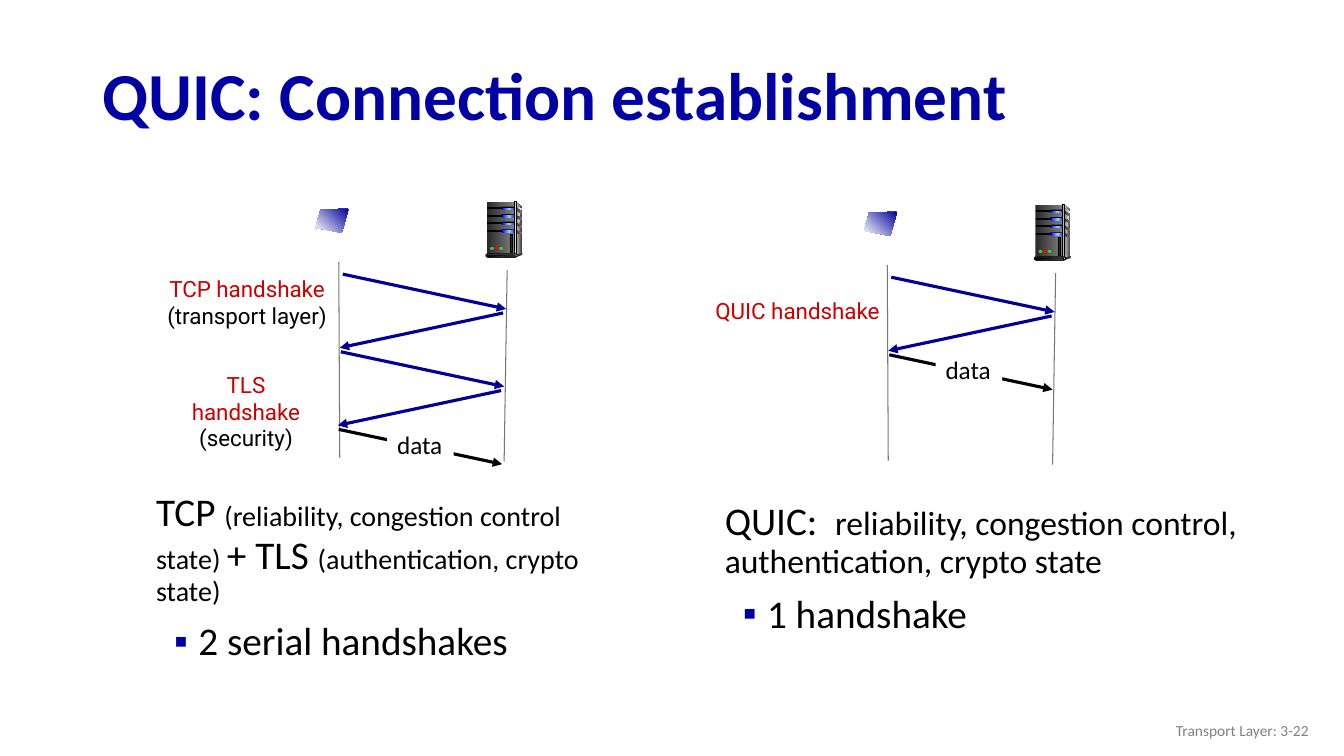
from lxml import etree
from pptx import Presentation
from pptx import util as u
from pptx.dml.color import RGBColor
from pptx.enum import shapes, text
from pptx.oxml.ns import qn

NAVY, TITLE_BLUE, RED, BLACK = "000099", "0000A3", "CC0000", "000000"
SHADE = ("292929", "808080")
GLOW = ("0000FF", "99CCFF", "0000FF")
RECT = shapes.MSO_SHAPE.RECTANGLE
PILL = shapes.MSO_SHAPE.ROUNDED_RECTANGLE
OVAL = shapes.MSO_SHAPE.OVAL


def color(value):
    return RGBColor.from_string(value)


def add_xml(parent, tag, **attributes):
    return etree.SubElement(parent, qn(tag), attributes)


def paint(shape, fill, line=None, angle=0):
    """Fill with one colour, or with a tuple of evenly spaced gradient colours."""
    shape.shadow.inherit = False
    if isinstance(fill, tuple):
        shape.fill.gradient()
        shape.fill.gradient_angle = angle
        stops = shape._element.spPr.find(qn("a:gradFill")).find(qn("a:gsLst"))
        for stop in list(stops):
            stops.remove(stop)
        for index, value in enumerate(fill):
            position = 100000 * index // (len(fill) - 1)
            stop = add_xml(stops, "a:gs", pos=str(position))
            add_xml(stop, "a:srgbClr", val=value)
    else:
        shape.fill.solid()
        shape.fill.fore_color.rgb = color(fill)
    if line:
        shape.line.color.rgb = color(line)
        shape.line.width = u.Pt(0.75)
    else:
        shape.line.fill.background()


def add_preset(parent, kind, left, top, width, height, fill, line=None):
    shape = parent.shapes.add_shape(
        kind, u.Inches(left), u.Inches(top), u.Inches(width), u.Inches(height))
    if kind == PILL:
        shape.adjustments[0] = 0.5
    paint(shape, fill, line)
    return shape


def add_outline(parent, left, top, points, fill, angle=0):
    corners = [(u.Inches(left + x), u.Inches(top + y)) for x, y in points]
    builder = parent.shapes.build_freeform(*corners[0], scale=1.0)
    builder.add_line_segments(corners[1:], close=True)
    paint(builder.convert_to_shape(), fill, angle=angle)


def add_line(slide, start, end, value, width=2.25, arrow=True):
    line = slide.shapes.add_connector(
        shapes.MSO_CONNECTOR.STRAIGHT, *(u.Inches(n) for n in (*start, *end)))
    line.line.color.rgb = color(value)
    line.line.width = u.Pt(width)
    if arrow:
        add_xml(line.line._get_or_add_ln(), "a:tailEnd", type="triangle")
    add_xml(line._element.spPr, "a:effectLst")


def add_paragraph(frame, runs, font="Calibri", align=None, spacing=None,
                  before=0, margin=0, indent=0, bullet=None):
    """Append a paragraph of (text, size, colour) runs."""
    first = not frame.paragraphs[0].runs
    paragraph = frame.paragraphs[0] if first else frame.add_paragraph()
    properties = paragraph._p.get_or_add_pPr()
    properties.set("marL", str(u.Inches(margin)))
    properties.set("indent", str(u.Inches(indent)))
    if bullet:
        add_xml(add_xml(properties, "a:buClr"), "a:srgbClr", val=TITLE_BLUE)
        add_xml(properties, "a:buFont", typeface="Arial")
        add_xml(properties, "a:buChar", char=bullet)
    paragraph.alignment = align
    paragraph.line_spacing = spacing
    if not first:
        paragraph.space_before = u.Pt(before)
    for words, size, value in runs:
        for index, part in enumerate(words.split("\n")):
            if index:
                paragraph.add_line_break()
            run = paragraph.add_run()
            run.text = part
            run.font.name = font
            run.font.size = u.Pt(size)
            run.font.color.rgb = color(value)
    return paragraph


def add_text_box(slide, left, top, width, height, wrap=True,
                 anchor=text.MSO_ANCHOR.TOP):
    box = slide.shapes.add_textbox(
        u.Inches(left), u.Inches(top), u.Inches(width), u.Inches(height))
    box.text_frame.word_wrap = wrap
    box.text_frame.vertical_anchor = anchor
    return box.text_frame


def add_server(slide, left, top):
    group = slide.shapes.add_group_shape()

    def preset(kind, x, y, *style):
        add_preset(group, kind, left + x, top + y, *style)

    def outline(points, fill):
        add_outline(group, left, top, points, fill)

    outline([(.3, 0), (.36, .06), (.36, .51), (.29, .53)], ("DDDDDD", "333333"))
    preset(RECT, .01, 0, .27, .53, SHADE)
    outline([(.3, .03), (.35, .07), (.32, .25), (.31, .45), (.3, .52)],
            ("808080", "F8F8F8"))
    for row, slope in enumerate((.04, .03, .03, .02)):
        y = .06 + .075 * row
        preset(RECT, .02, y, .15, .01, BLACK, BLACK)
        preset(PILL, .15, y - .01, .15, .03, BLACK)
        preset(PILL, .16, y, .14, .025, GLOW)
        outline([(.29, y), (.36, y + slope), (.36, y + slope + .02),
                 (.29, y + .02)], SHADE)
    preset(RECT, .28, 0, .02, .54, ("333333", "DDDDDD", "333333"), BLACK)
    preset(OVAL, .35, .51, .01, .02, "333333")
    outline([(.3, .53), (.3, .55), (.36, .53), (.36, .51)], "333333")
    preset(PILL, 0, .52, .31, .03, "DDDDDD", BLACK)
    preset(PILL, .01, .53, .28, .02, (BLACK, "808080"), BLACK)
    for light, value in enumerate(("33CC33", "FF0000", "33CC33")):
        preset(OVAL, .04 + .045 * light, .45, .04, .03, value)
    preset(RECT, .24, .33, .02, .18, "292929", BLACK)


def add_exchange(slide, left, top, handshakes):
    """Draw client, server, the handshakes' round trips and the data message."""
    add_line(slide, (left, top), (left + .01, top + 1.94), "777777", .75, False)
    add_line(slide, (left + 1.67, top + .08), (left + 1.64, top + 1.98),
             "777777", .75, False)
    add_outline(slide, left - .23, top - .53,
                [(.33, 0), (.05, .01), (0, .19), (.26, .24)],
                (NAVY, "FFFFFF"), angle=225)
    add_server(slide, left + 1.46, top - .6)
    data_index = 2 * handshakes
    for index in range(data_index + 1):
        y = top + .12 + .385 * index
        x = left - .01 * index
        ends = (x + .04, x + 1.66) if index % 2 == 0 else (x + 1.64, x + .02)
        add_line(slide, (ends[0], y), (ends[1], y + .345),
                 BLACK if index == data_index else NAVY)
    label = add_preset(slide, RECT, left + .48, y - .05, .66, .4, "FFFFFF")
    label.text_frame.word_wrap = False
    label.text_frame.vertical_anchor = text.MSO_ANCHOR.TOP
    add_paragraph(label.text_frame, [("data", 18, BLACK)], align=text.PP_ALIGN.LEFT)


def add_handshake_label(slide, left, top, width, height, name, layer=None):
    frame = add_text_box(slide, left, top, width, height, wrap=False)
    for words, value in ((name, RED), (layer, BLACK)):
        if words:
            add_paragraph(frame, [(words, 16, value)], font="Roboto",
                          align=text.PP_ALIGN.CENTER)


def add_summary(slide, left, top, width, height, runs, point):
    frame = add_text_box(slide, left, top, width, height)
    add_paragraph(frame, [(words, size, BLACK) for words, size in runs],
                  spacing=.9, margin=.14)
    add_paragraph(frame, [(point, 28, BLACK)], spacing=.9, before=10,
                  margin=.56, indent=-.24, bullet="▪")


def main():
    presentation = Presentation()
    presentation.slide_width = u.Inches(13.33)
    presentation.slide_height = u.Inches(7.5)
    slide = presentation.slides.add_slide(presentation.slide_layouts[6])
    middle = text.MSO_ANCHOR.MIDDLE

    title = add_text_box(slide, .92, .49, 11.5, .98, anchor=middle)
    heading = add_paragraph(
        title, [("QUIC: Connection establishment", 48, TITLE_BLUE)], spacing=.9)
    heading.runs[0].font.bold = True

    add_exchange(slide, 3.36, 2.6, handshakes=2)
    add_handshake_label(slide, 1.54, 2.68, 1.82, .64,
                        "TCP handshake", "(transport layer)")
    add_handshake_label(slide, 1.59, 3.63, 1.7, .9, "TLS\nhandshake", "(security)")
    add_summary(slide, 1.31, 4.84, 4.87, 2.29,
                [("TCP ", 28), ("(reliability, congestion control state) ", 20),
                 ("+ TLS ", 28), ("(authentication, crypto state)", 20)],
                "2 serial handshakes")

    add_exchange(slide, 8.8, 2.63, handshakes=1)
    add_handshake_label(slide, 6.98, 2.9, 1.86, .37, "QUIC handshake")
    add_summary(slide, 6.95, 4.93, 5.56, 2.29,
                [("QUIC:  ", 28), ("reliability, congestion control, "
                                   "authentication, crypto state", 24)],
                "1 handshake")

    footer = add_text_box(slide, 10.08, 7.05, 3, .4, anchor=middle)
    add_paragraph(footer, [("Transport Layer: 3-22", 11, "808080")],
                  align=text.PP_ALIGN.RIGHT)
    presentation.save("out.pptx")


if __name__ == "__main__":
    main()
